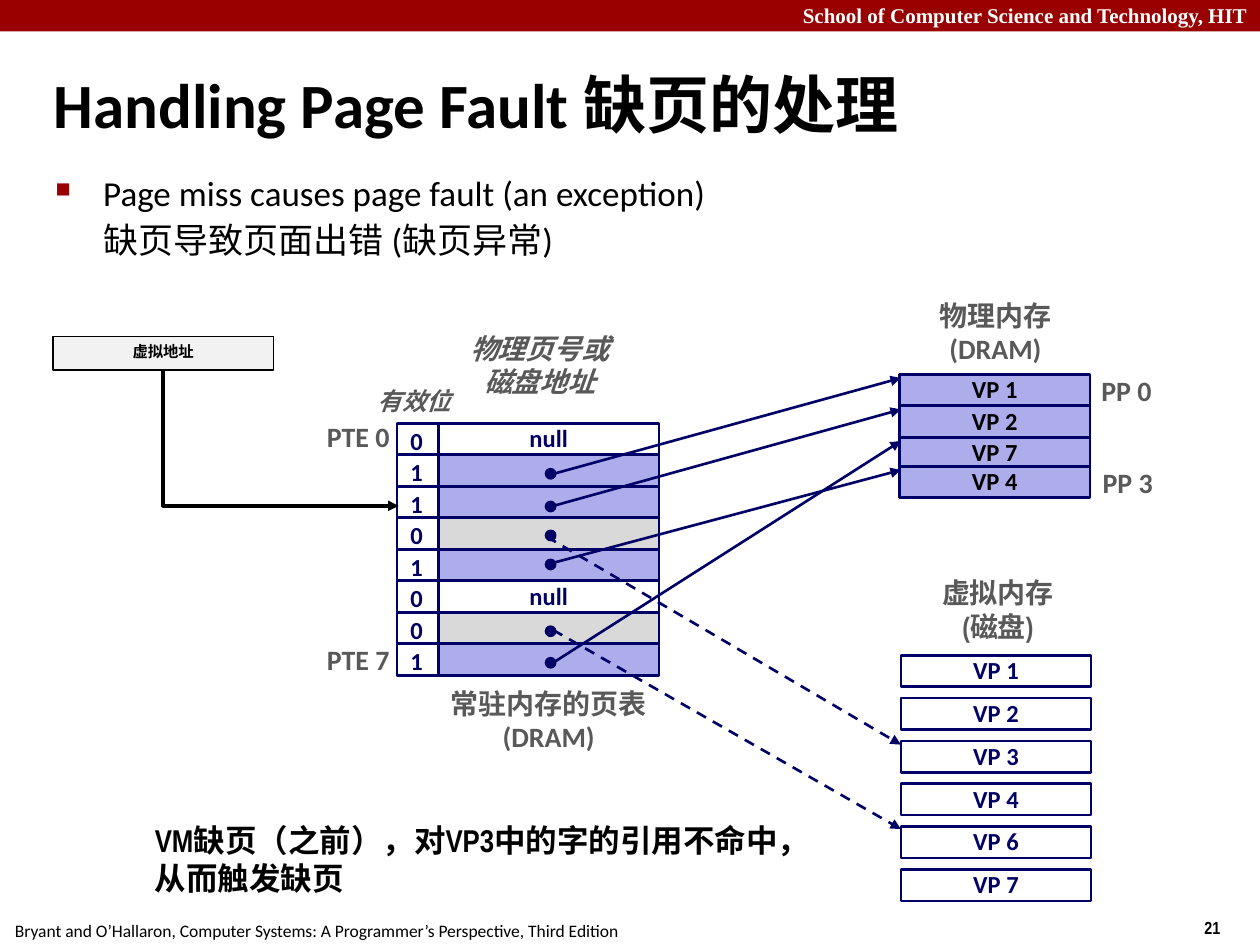
from dataclasses import dataclass
from typing import Optional

import lxml.etree
import pptx
import pptx.dml.color
import pptx.enum.dml
import pptx.enum.shapes
import pptx.enum.text
import pptx.oxml.ns
import pptx.util

Inches = pptx.util.Inches
Pt = pptx.util.Pt
qn = pptx.oxml.ns.qn
Align = pptx.enum.text.PP_ALIGN
Anchor = pptx.enum.text.MSO_ANCHOR
AutoSize = pptx.enum.text.MSO_AUTO_SIZE
Shape = pptx.enum.shapes.MSO_SHAPE
Connector = pptx.enum.shapes.MSO_CONNECTOR


@dataclass(frozen=True)
class Theme:
    red: str = "990000"
    navy: str = "000066"
    resident: str = "ADADEB"
    on_disk: str = "D9D9D9"
    pale: str = "F2F2F2"
    grey: str = "595959"
    black: str = "000000"
    white: str = "FFFFFF"
    body_font: str = "Calibri"
    narrow_font: str = "Arial Narrow"
    header_font: str = "Times New Roman"
    title: float = 36
    body: float = 20
    note: float = 18
    label: float = 16
    cell: float = 14
    header: float = 12
    small: float = 10
    address: float = 8.8


THEME = Theme()


@dataclass(frozen=True)
class Style:
    size: float = THEME.label
    color: str = THEME.grey
    font: str = THEME.body_font
    bold: bool = True
    italic: bool = False
    align: Align = Align.LEFT
    spacing: float = 0.98


@dataclass(frozen=True)
class Label:
    box: tuple
    lines: tuple
    style: Style
    wrap: bool = False
    grow: bool = True
    anchor: Anchor = Anchor.TOP
    last_font: Optional[str] = None


@dataclass(frozen=True)
class Entry:
    valid: str
    fill: str
    text: str = ""
    dot_top: Optional[float] = None


@dataclass(frozen=True)
class Arrow:
    start: tuple
    end: tuple
    dashed: bool = False


def rgb(color: str):
    return pptx.dml.color.RGBColor.from_string(color)


def apply(target, values: dict) -> None:
    for name, value in values.items():
        setattr(target, name, value)


def write_lines(frame, lines: tuple, style: Style, last_font: Optional[str] = None) -> None:
    for index, line in enumerate(lines):
        paragraph = frame.paragraphs[0] if index == 0 else frame.add_paragraph()
        apply(paragraph, {"alignment": style.align, "line_spacing": style.spacing})
        run = paragraph.add_run()
        run.text = line
        is_last = index == len(lines) - 1
        apply(run.font, {"name": last_font if last_font and is_last else style.font,
                         "size": Pt(style.size), "bold": style.bold, "italic": style.italic})
        run.font.color.rgb = rgb(style.color)


def add_label(slide, label: Label):
    shape = slide.shapes.add_textbox(*map(Inches, label.box))
    apply(shape.text_frame, {
        "word_wrap": label.wrap, "vertical_anchor": label.anchor,
        "auto_size": AutoSize.SHAPE_TO_FIT_TEXT if label.grow else AutoSize.NONE})
    write_lines(shape.text_frame, label.lines, label.style, label.last_font)
    return shape


def add_box(slide, box: tuple, fill: Optional[str], line: Optional[str] = THEME.navy,
            width: float = 1.5, text: str = "", style: Style = Style(),
            kind: Shape = Shape.RECTANGLE):
    shape = slide.shapes.add_shape(kind, *map(Inches, box))
    shape.shadow.inherit = False
    if fill:
        shape.fill.solid()
        shape.fill.fore_color.rgb = rgb(fill)
    else:
        shape.fill.background()
    if line:
        shape.line.color.rgb = rgb(line)
        shape.line.width = Pt(width)
    else:
        shape.line.fill.background()
    if text:
        apply(shape.text_frame, {"word_wrap": False, "vertical_anchor": Anchor.MIDDLE})
        write_lines(shape.text_frame, (text,), style)
    return shape


def finish_arrow(connector, color: str, width: float, dashed: bool = False) -> None:
    connector.line.color.rgb = rgb(color)
    connector.line.width = Pt(width)
    if dashed:
        connector.line.dash_style = pptx.enum.dml.MSO_LINE.DASH
    properties = connector._element.spPr
    lxml.etree.SubElement(properties.find(qn("a:ln")), qn("a:tailEnd"), type="triangle")
    lxml.etree.SubElement(properties, qn("a:effectLst"))


def add_arrow(slide, arrow: Arrow) -> None:
    connector = slide.shapes.add_connector(
        Connector.STRAIGHT, *map(Inches, arrow.start + arrow.end))
    finish_arrow(connector, THEME.navy, 1.5, arrow.dashed)


def add_lookup_arrow(slide, address, valid_cell) -> None:
    connector = slide.shapes.add_connector(Connector.ELBOW, 0, 0, 0, 0)
    connector.begin_connect(address, 2)
    connector.end_connect(valid_cell, 1)
    # One-bend path: down from the address, then right to the valid bit
    apply(connector, {"left": Inches(1.69), "top": Inches(2.54),
                      "width": Inches(1.08), "height": Inches(1.87)})
    properties = connector._element.spPr
    properties.find(qn("a:prstGeom")).set("prst", "bentConnector2")
    transform = properties.find(qn("a:xfrm"))
    transform.attrib.pop("flipV", None)
    transform.set("rot", "16200000")
    transform.set("flipH", "1")
    finish_arrow(connector, THEME.black, 2)


def add_bullets(shape) -> None:
    first, second = shape.text_frame.paragraphs
    second.space_before = Pt(5)
    for paragraph, indent in ((first, -0.38), (second, 0)):
        properties = paragraph._p.get_or_add_pPr()
        properties.set("marL", str(Inches(0.38)))
        properties.set("indent", str(Inches(indent)))
    properties = first._p.get_or_add_pPr()
    color = lxml.etree.SubElement(properties, qn("a:buClr"))
    lxml.etree.SubElement(color, qn("a:srgbClr"), val=THEME.red)
    lxml.etree.SubElement(properties, qn("a:buSzPct"), val="60000")
    lxml.etree.SubElement(properties, qn("a:buChar"), char="■")


# Text styles
PLAIN = Style(THEME.body, THEME.black, bold=False, spacing=0.9)
CELL = Style(THEME.cell, THEME.navy, align=Align.CENTER)
FRAME = Style(THEME.cell, THEME.black, align=Align.CENTER)
BIT = Style(THEME.cell, THEME.navy)
RIGHT = Style(align=Align.RIGHT)
CENTER = Style(align=Align.CENTER)
CAPTION = Style(font=THEME.narrow_font, align=Align.CENTER)

# Page table, memory and disk contents
ENTRIES = (
    Entry("0", THEME.white, "null"), Entry("1", THEME.resident, dot_top=3.72),
    Entry("1", THEME.resident, dot_top=3.98), Entry("0", THEME.on_disk, dot_top=4.21),
    Entry("1", THEME.resident, dot_top=4.44), Entry("0", THEME.white, "null"),
    Entry("0", THEME.on_disk, dot_top=4.97), Entry("1", THEME.resident, dot_top=5.22))
ROW = 0.25
MEMORY = {"VP 1": 2.97, "VP 2": 3.22, "VP 7": 3.47, "VP 4": 3.7}
DISK = ("VP 1", "VP 2", "VP 3", "VP 4", "VP 6", "VP 7")
ARROWS = (
    Arrow((4.36, 3.77), (7.15, 3)), Arrow((4.41, 4.01), (7.15, 3.25)),
    Arrow((4.39, 5.26), (7.15, 3.5)), Arrow((4.38, 4.47), (7.15, 3.73)),
    Arrow((4.34, 4.26), (7.15, 5.91), True), Arrow((4.39, 5), (7.15, 6.58), True))
LABELS = (
    Label((9.46, 7.23, 0.75, 0.27), ("21",),
          Style(THEME.small, THEME.black, THEME.narrow_font, spacing=1)),
    Label((0.02, 7.25, 5.01, 0.27),
          ("Bryant and O’Hallaron, Computer Systems: A Programmer’s Perspective, Third Edition",),
          Style(THEME.small, THEME.black, bold=False, spacing=1)),
    Label((0, -0.03, 10, 0.3), ("School of Computer Science and Technology, HIT",),
          Style(THEME.header, THEME.white, THEME.header_font, align=Align.RIGHT, spacing=1), True),
    Label((0.33, 0.39, 9.06, 0.86), ("Handling Page Fault 缺页的处理",),
          Style(THEME.title, THEME.black, spacing=1), True, False, Anchor.MIDDLE),
    Label((2.49, 3.29, 0.7, 0.36), ("PTE 0",), RIGHT, anchor=Anchor.MIDDLE),
    Label((2.49, 5.06, 0.7, 0.36), ("PTE 7",), RIGHT, anchor=Anchor.MIDDLE),
    Label((8.64, 2.93, 0.6, 0.36), ("PP 0",), CENTER, anchor=Anchor.MIDDLE),
    Label((8.65, 3.66, 0.6, 0.36), ("PP 3",), CENTER, anchor=Anchor.MIDDLE),
    Label((1.13, 6.47, 5.21, 0.7), ("VM缺页（之前），对VP3中的字的引用不命中，从而触发缺页",),
          Style(THEME.note, THEME.black, THEME.narrow_font, spacing=1), True),
    Label((2.9, 3.03, 1, 0.33), ("有效位",),
          Style(THEME.cell, font=THEME.narrow_font, italic=True), True),
    Label((3.63, 2.58, 1.31, 0.64), ("物理页号或", "磁盘地址"),
          Style(font=THEME.narrow_font, italic=True, align=Align.CENTER, spacing=1)),
    Label((7.36, 4.52, 1.12, 0.64), ("虚拟内存", "(磁盘)"),
          Style(font=THEME.narrow_font, align=Align.CENTER, spacing=1)),
    Label((3.48, 5.41, 1.75, 0.63), ("常驻内存的页表", "(DRAM)"), CAPTION,
          last_font=THEME.body_font),
    Label((7.34, 2.33, 1.12, 0.62), ("物理内存", "(DRAM)"), CAPTION,
          last_font=THEME.body_font))


def main() -> None:
    presentation = pptx.Presentation()
    apply(presentation, {"slide_width": Inches(10), "slide_height": Inches(7.5)})
    slide = presentation.slides.add_slide(presentation.slide_layouts[6])

    # Header band, text and bullets
    add_box(slide, (0, 0, 10, 0.25), THEME.red, None)
    for label in LABELS:
        add_label(slide, label)
    add_bullets(add_label(slide, Label(
        (0.34, 1.35, 9.09, 0.83),
        ("Page miss causes page fault (an exception)", "缺页导致页面出错 (缺页异常)"),
        PLAIN, True, False)))

    # Page table
    valid_cells = []
    for index, entry in enumerate(ENTRIES):
        top = 3.36 + index * ROW
        add_box(slide, (3.48, top, 1.75, ROW), entry.fill, text=entry.text, style=CELL)
        valid_cells.append(add_box(slide, (3.15, top, 0.33, ROW), None))
        add_label(slide, Label((3.16, top - 0.02, 0.3, 0.33), (entry.valid,), BIT))

    # Physical memory and disk
    for page, top in MEMORY.items():
        add_box(slide, (7.14, top, 1.51, ROW), THEME.resident, text=page, style=FRAME)
    for index, page in enumerate(DISK):
        add_box(slide, (7.15, 5.2 + index * 0.34, 1.51, ROW), THEME.white, text=page, style=CELL)

    # Pointers from the page table
    for entry in ENTRIES:
        if entry.dot_top:
            add_box(slide, (4.33, entry.dot_top, 0.08, 0.08), THEME.navy, width=1,
                    kind=Shape.OVAL)
    for arrow in ARROWS:
        add_arrow(slide, arrow)

    # Virtual address lookup
    address = add_box(slide, (0.42, 2.67, 1.75, 0.27), THEME.pale, THEME.black, 1, "虚拟地址",
                      Style(THEME.address, THEME.black, align=Align.CENTER, spacing=0.8))
    add_lookup_arrow(slide, address, valid_cells[2])
    presentation.save("out.pptx")


if __name__ == "__main__":
    main()
